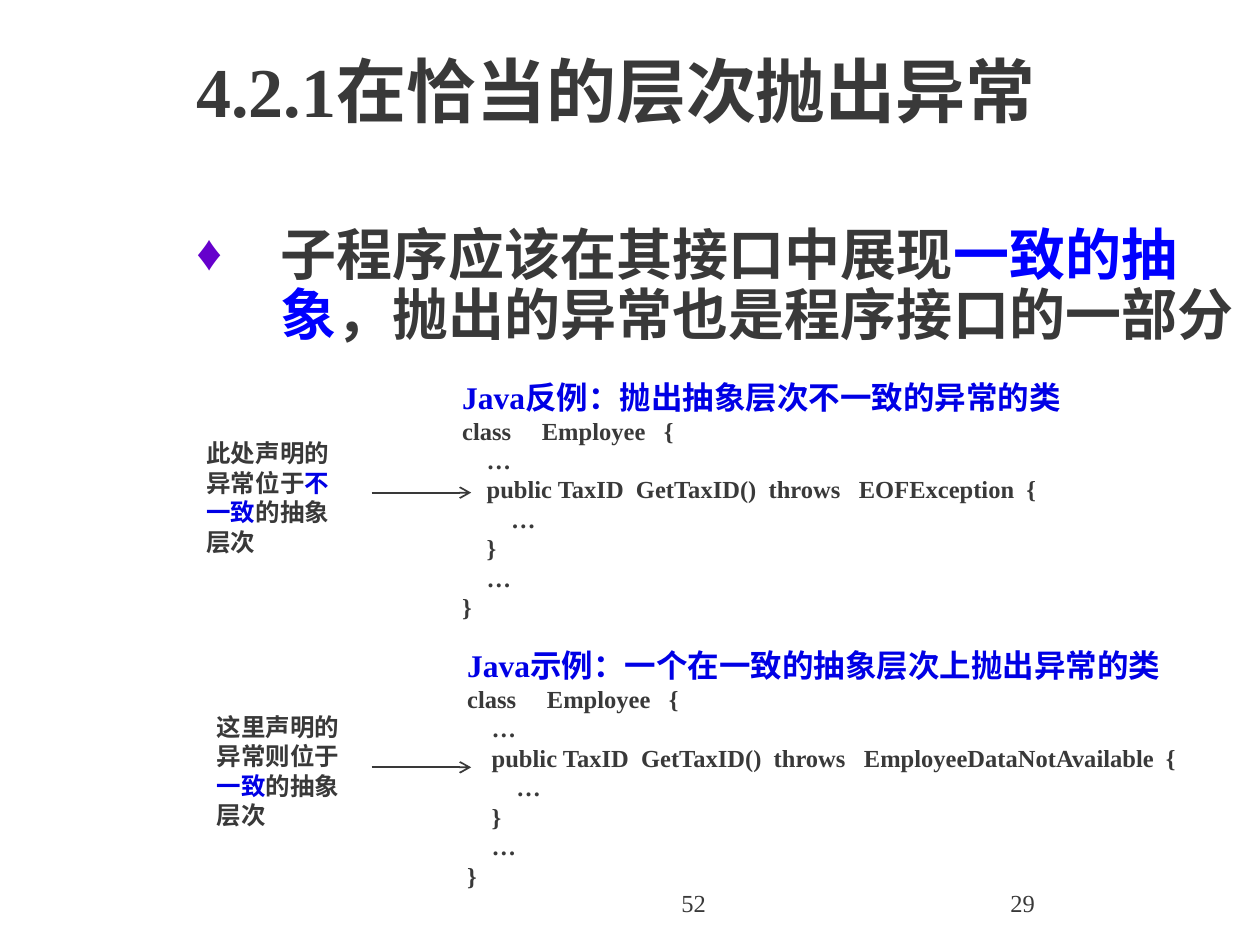
from lxml import etree
from pptx import Presentation
from pptx import util as u
from pptx.dml.color import RGBColor
from pptx.enum import shapes, text
from pptx.oxml import ns

DARK = RGBColor(0x39, 0x39, 0x39)
BRIGHT_BLUE = RGBColor(0x00, 0x00, 0xFF)
BLUE = RGBColor(0x00, 0x00, 0xE5)
BULLET_COLOR = RGBColor(0x66, 0x00, 0xCC)
CODE_INDENT = 14

TITLE = {"size": u.Pt(40), "bold": True}
BODY = {"size": u.Pt(32), "bold": True}
HEADING = {"size": u.Pt(18), "bold": True}
SMALL = {"size": u.Pt(14), "bold": True}
FOOTER = {"size": u.Pt(14), "bold": False}


class SlideBuilder:
    font_name = "Times New Roman"

    def __init__(self, slide):
        self.slide = slide

    def add_run(self, paragraph, content, style, color=DARK):
        run = paragraph.add_run()
        run.text = content
        for name, value in {"name": self.font_name, **style}.items():
            setattr(run.font, name, value)
        run.font.color.rgb = color

    def add_title(self, content, *box):
        title = self.slide.shapes.title
        for name, value in zip(("left", "top", "width", "height"), box):
            setattr(title, name, u.Inches(value))
        title.text_frame.vertical_anchor = text.MSO_ANCHOR.MIDDLE
        paragraph = title.text_frame.paragraphs[0]
        paragraph.alignment = text.PP_ALIGN.LEFT
        self.add_run(paragraph, content, TITLE)

    def add_text(self, paragraphs, style, *box, alignment=text.PP_ALIGN.LEFT):
        shape = self.slide.shapes.add_textbox(*map(u.Inches, box))
        frame = shape.text_frame
        frame.word_wrap = True
        for index, runs in enumerate(paragraphs):
            paragraph = frame.add_paragraph() if index else frame.paragraphs[0]
            paragraph.alignment = alignment
            for content, color in runs:
                self.add_run(paragraph, content, style, color)
        return frame

    def add_bullet(self, runs, *box):
        paragraph = self.add_text([runs], BODY, *box).paragraphs[0]
        paragraph.line_spacing = 0.9
        paragraph.space_before = u.Pt(8)
        properties = paragraph._p.get_or_add_pPr()
        indent = u.Inches(0.67)
        attributes = {"marL": indent, "indent": -indent, "hangingPunct": 0}
        for name, value in attributes.items():
            properties.set(name, str(value))
        color = etree.SubElement(properties, ns.qn("a:buClr"))
        etree.SubElement(color, ns.qn("a:srgbClr"), val=str(BULLET_COLOR))
        etree.SubElement(properties, ns.qn("a:buSzPct"), val="90000")
        etree.SubElement(properties, ns.qn("a:buFont"), typeface=self.font_name)
        etree.SubElement(properties, ns.qn("a:buChar"), char="♦")

    def add_code(self, heading, exception, *box):
        frame = self.add_text([[(heading, BLUE)]], HEADING, *box)
        lines = [
            (0, "class     Employee   {"),
            (1, "…"),
            (1, f"public TaxID  GetTaxID()  throws   {exception}  {{"),
            (2, "…"),
            (1, "}"),
            (1, "…"),
            (0, "}"),
        ]
        for level, content in lines:
            paragraph = frame.add_paragraph()
            paragraph._p.get_or_add_pPr().set("marL", str(u.Pt(CODE_INDENT * level)))
            self.add_run(paragraph, content, SMALL)

    def add_arrow(self, left, right, y):
        ends = map(u.Inches, (left, y, right, y))
        arrow = self.slide.shapes.add_connector(shapes.MSO_CONNECTOR.STRAIGHT, *ends)
        arrow.line.color.rgb = DARK
        arrow.line.width = u.Pt(1)
        etree.SubElement(arrow.line._get_or_add_ln(), ns.qn("a:tailEnd"), type="arrow")
        etree.SubElement(arrow._element.spPr, ns.qn("a:effectLst"))


def main():
    presentation = Presentation()
    presentation.slide_width = u.Inches(10)
    presentation.slide_height = u.Inches(7.5)
    slide = presentation.slides.add_slide(presentation.slide_layouts[5])
    builder = SlideBuilder(slide)

    builder.add_text([[("52", DARK)]], FOOTER, 3.92, 7, 3.17, 0.5,
                     alignment=text.PP_ALIGN.CENTER)
    builder.add_text([[("29", DARK)]], FOOTER, 7.92, 7, 2.08, 0.5)
    builder.add_title("4.2.1在恰当的层次抛出异常", 1.46, 0.05, 8.46, 1.32)
    builder.add_bullet([
        ("子程序应该在其接口中展现", DARK),
        ("一致的抽象", BRIGHT_BLUE),
        ("，抛出的异常也是程序接口的一部分", DARK),
    ], 1.46, 1.75, 8.47, 1.69)

    builder.add_code("Java示例：一个在一致的抽象层次上抛出异常的类",
                     "EmployeeDataNotAvailable", 3.61, 5.08, 5.89, 2.04)
    builder.add_code("Java反例：抛出抽象层次不一致的异常的类",
                     "EOFException", 3.57, 2.95, 5.67, 2.04)

    note_ending = [[("一致", BLUE), ("的抽象", DARK)], [("层次", DARK)]]
    consistent_note = [[("这里声明的", DARK)], [("异常则位于", DARK)]]
    inconsistent_note = [[("此处声明的", DARK)], [("异常位于", DARK), ("不", BLUE)]]
    for note, left, top in ((consistent_note, 1.62, 5.6), (inconsistent_note, 1.54, 3.43)):
        builder.add_text(note + note_ending, SMALL, left, top, 1.25, 1.04)

    for y in (3.91, 6.09):
        builder.add_arrow(2.95, 3.74, y)

    presentation.save("out.pptx")


if __name__ == "__main__":
    main()
